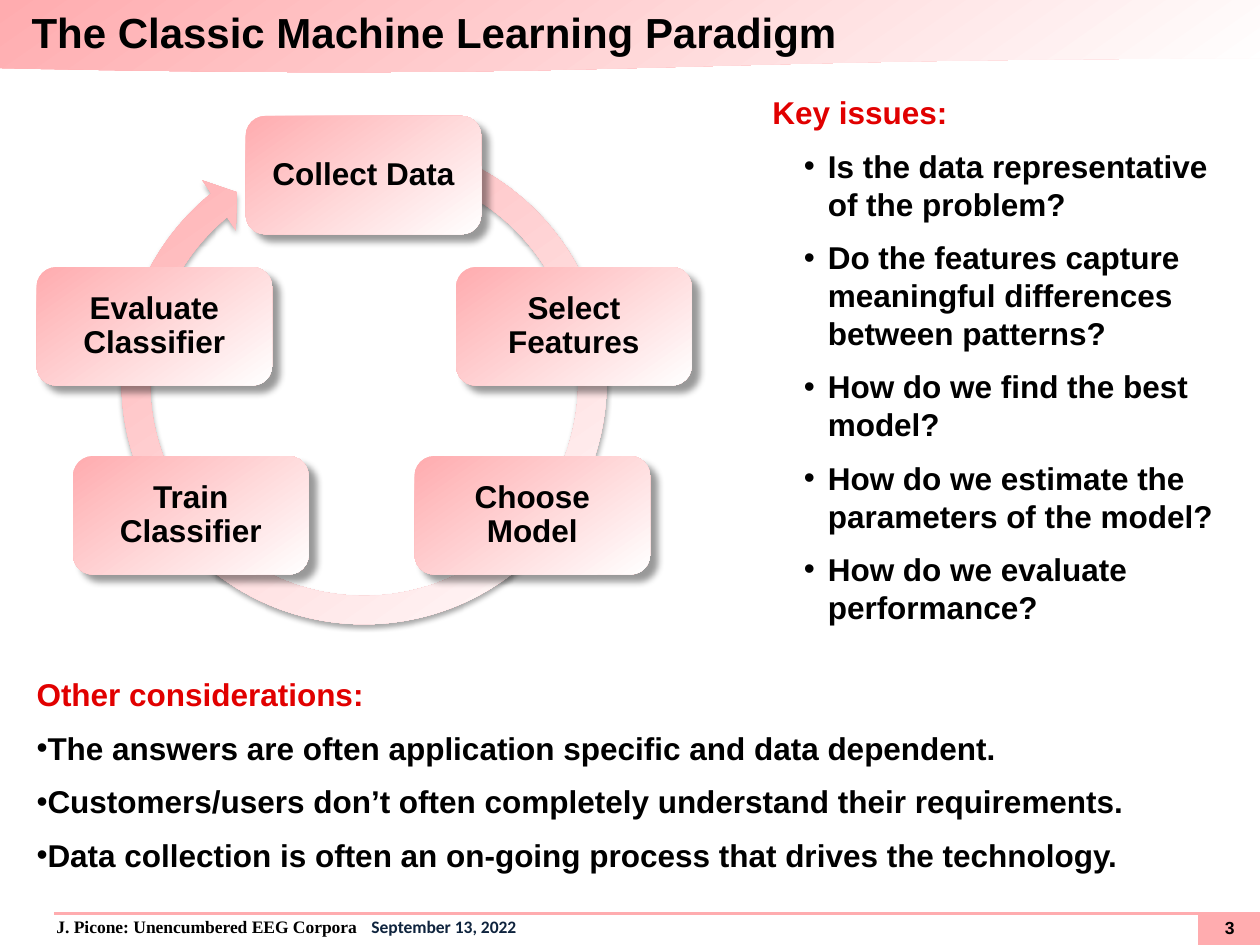
from lxml import etree
from pptx import Presentation
from pptx.dml.color import RGBColor
from pptx.enum import shapes, text
from pptx.oxml import ns
from pptx.util import Inches, Pt

PINK = RGBColor(0xFF, 0xAC, 0xAF)
WHITE = RGBColor(0xFF, 0xFF, 0xFF)
BLACK = RGBColor(0, 0, 0)
RED = RGBColor(0xE1, 0, 0)
NAVY = RGBColor(0x0F, 0x24, 0x3E)


def write(frame, words, size=18, font="Arial", color=BLACK, align=text.PP_ALIGN.LEFT,
          anchor=text.MSO_ANCHOR.TOP, inset=0, level=0, left=0, indent=0, bullet=None,
          before=0, spacing=1.0, tab=None):
    """Add one paragraph; words is a string or a list of (string, font, colour)."""
    frame.word_wrap = True
    frame.auto_size = text.MSO_AUTO_SIZE.NONE
    frame.vertical_anchor = anchor
    frame.margin_left = frame.margin_right = Inches(inset)
    frame.margin_top = frame.margin_bottom = Inches(min(inset, 0.05))
    para = frame.add_paragraph() if frame.text else frame.paragraphs[0]
    para.level, para.alignment = level, align
    para.line_spacing, para.space_before = spacing, Pt(before)
    props = para._p.get_or_add_pPr()
    props.set("marL", str(Inches(left)))
    props.set("indent", str(Inches(indent)))
    if bullet:
        etree.SubElement(props, ns.qn("a:buChar"), char=bullet)
    else:
        etree.SubElement(props, ns.qn("a:buNone"))
    if tab:
        tabs = etree.SubElement(props, ns.qn("a:tabLst"))
        etree.SubElement(tabs, ns.qn("a:tab"), pos=str(Inches(tab)), algn="r")
    spans = [(words, font, color)] if isinstance(words, str) else words
    for content, face, shade in spans:
        span = para.add_run()
        span.text = content
        span.font.name, span.font.size, span.font.bold = face, Pt(size), True
        span.font.color.rgb = shade


def paint(shape, shadow=None):
    """Pink-to-white gradient; shadow is (opacity %, blur pt, distance pt, degrees)."""
    shape.fill.gradient()
    shape.fill.gradient_angle = 360 - 55
    for stop, shade in zip(shape.fill.gradient_stops, (PINK, WHITE)):
        stop.color.rgb = shade
    shape.line.fill.background()
    shape.shadow.inherit = False
    if shadow:
        opacity, blur, distance, degrees = shadow
        effects = shape.element.spPr.find(ns.qn("a:effectLst"))
        outer = etree.SubElement(effects, ns.qn("a:outerShdw"), blurRad=str(Pt(blur)),
                                 dist=str(Pt(distance)), dir=str(degrees * 60000),
                                 algn="tl", rotWithShape="0")
        shade = etree.SubElement(outer, ns.qn("a:srgbClr"), val=str(BLACK))
        etree.SubElement(shade, ns.qn("a:alpha"), val=str(opacity * 1000))


deck = Presentation()
deck.slide_width, deck.slide_height = Inches(10), Inches(7.5)
page = deck.slides.add_slide(deck.slide_layouts.get_by_name("Two Content"))
title, issues, considerations = page.placeholders
for holder, (x, y, w, h) in ((title, (0.25, 0, 9.5, 0.5)),
                             (issues, (6.13, 0.74, 3.6, 4.39)),
                             (considerations, (0.29, 5.36, 9.56, 1.67))):
    holder.left, holder.top = Inches(x), Inches(y)
    holder.width, holder.height = Inches(w), Inches(h)

# Title on its band
band = page.shapes.add_shape(shapes.MSO_SHAPE.FLOWCHART_DOCUMENT, 0, 0,
                             Inches(10.01), Inches(0.58))
paint(band)
title.element.addprevious(band.element)
write(title.text_frame, "The Classic Machine Learning Paradigm", size=24,
      anchor=text.MSO_ANCHOR.MIDDLE)

# Key issues
write(issues.text_frame, "Key issues:", color=RED)
for question in ("Is the data representative of the problem?",
                 "Do the features capture meaningful differences between patterns?",
                 "How do we find the best model?",
                 "How do we estimate the parameters of the model?",
                 "How do we evaluate performance?"):
    write(issues.text_frame, question, level=1, left=0.44, indent=-0.19,
          bullet="•", before=9)

# Other considerations
write(considerations.text_frame, "Other considerations:", color=RED)
for remark in ("The answers are often application specific and data dependent.",
               "Customers/users don’t often completely understand their requirements.",
               "Data collection is often an on-going process that drives the technology."):
    write(considerations.text_frame, remark, indent=-0.25, bullet="•", before=9)

# Cycle arrow
cycle = page.shapes.add_shape(shapes.MSO_SHAPE.CIRCULAR_ARROW, Inches(0.84), Inches(0.98),
                              Inches(4.1), Inches(4.1))
for index, value in enumerate((0.055, 3.307, 138.356, 173.497, 0.058)):
    cycle.adjustments[index] = value
paint(cycle, shadow=(35, 3.1, 1.8, 90))

# Cycle steps
for label, x, y in (("Collect Data", 1.95, 0.92), ("Select Features", 3.62, 2.12),
                    ("Choose Model", 3.29, 3.62), ("Train Classifier", 0.58, 3.62),
                    ("Evaluate Classifier", 0.29, 2.12)):
    step = page.shapes.add_shape(shapes.MSO_SHAPE.ROUNDED_RECTANGLE, Inches(x), Inches(y),
                                 Inches(1.87), Inches(0.94))
    paint(step, shadow=(40, 4, 6, 45))
    write(step.text_frame, label, align=text.PP_ALIGN.CENTER,
          anchor=text.MSO_ANCHOR.MIDDLE, inset=0.07, spacing=0.9)

# Footer
corner = page.shapes.add_shape(shapes.MSO_SHAPE.RECTANGLE, Inches(9.51), Inches(7.24),
                               Inches(0.5), Inches(0.26))
corner.fill.solid()
corner.fill.fore_color.rgb = PINK
corner.line.fill.background()
corner.shadow.inherit = False
footer = page.shapes.add_textbox(Inches(0.04), Inches(7.23), Inches(9.97), Inches(0.26))
write(footer.text_frame, [("J. Picone: Unencumbered EEG Corpora", "Times New Roman", BLACK),
                          ("\tSeptember 13, 2022", "Calibri", NAVY)],
      size=10, inset=0.1, left=0.31, spacing=0.95, tab=9.31)
rule = page.shapes.add_connector(shapes.MSO_CONNECTOR.STRAIGHT, Inches(0.43), Inches(7.25),
                                 Inches(10), Inches(7.25))
rule.line.color.rgb = PINK
rule.line.width = Pt(1.5)
etree.SubElement(rule.element.spPr, ns.qn("a:effectLst"))
number = page.shapes.add_textbox(Inches(9.56), Inches(7.28), Inches(0.4), Inches(0.17))
write(number.text_frame, "3", size=10, align=text.PP_ALIGN.CENTER,
      anchor=text.MSO_ANCHOR.MIDDLE)

deck.save("out.pptx")
